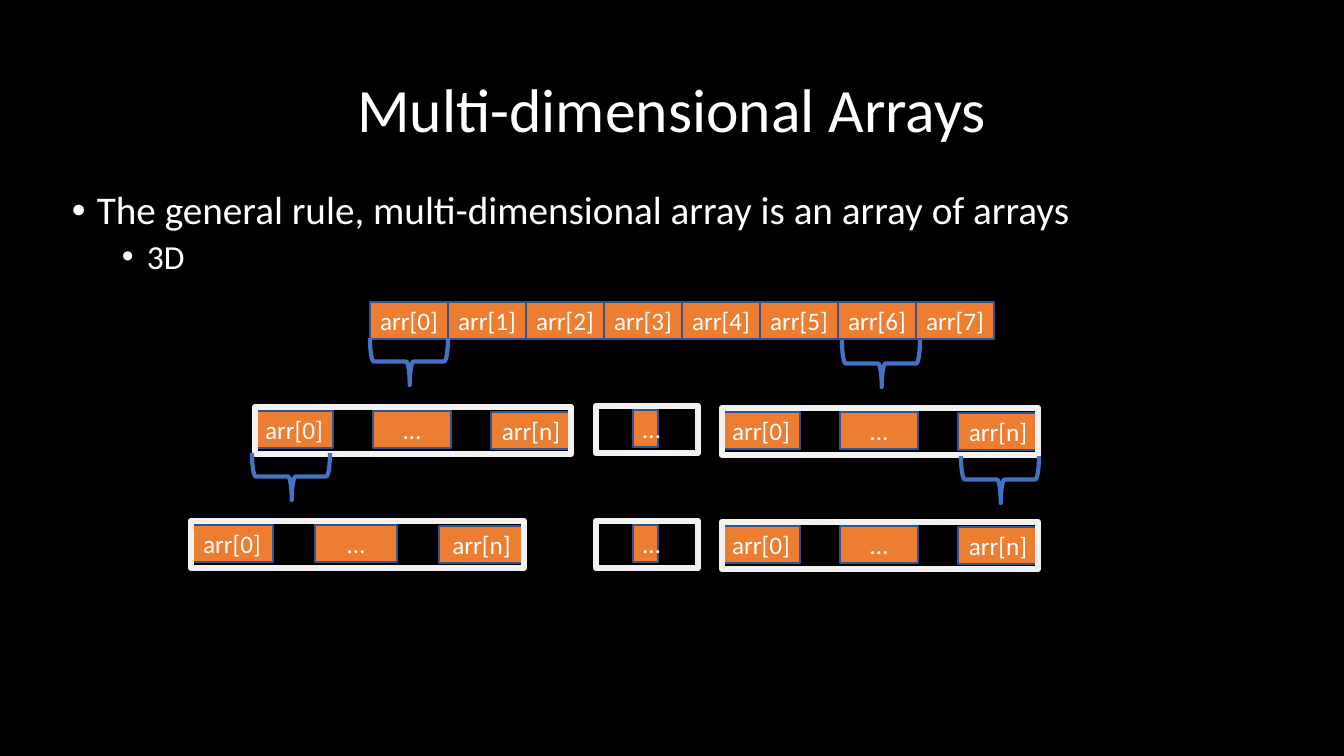
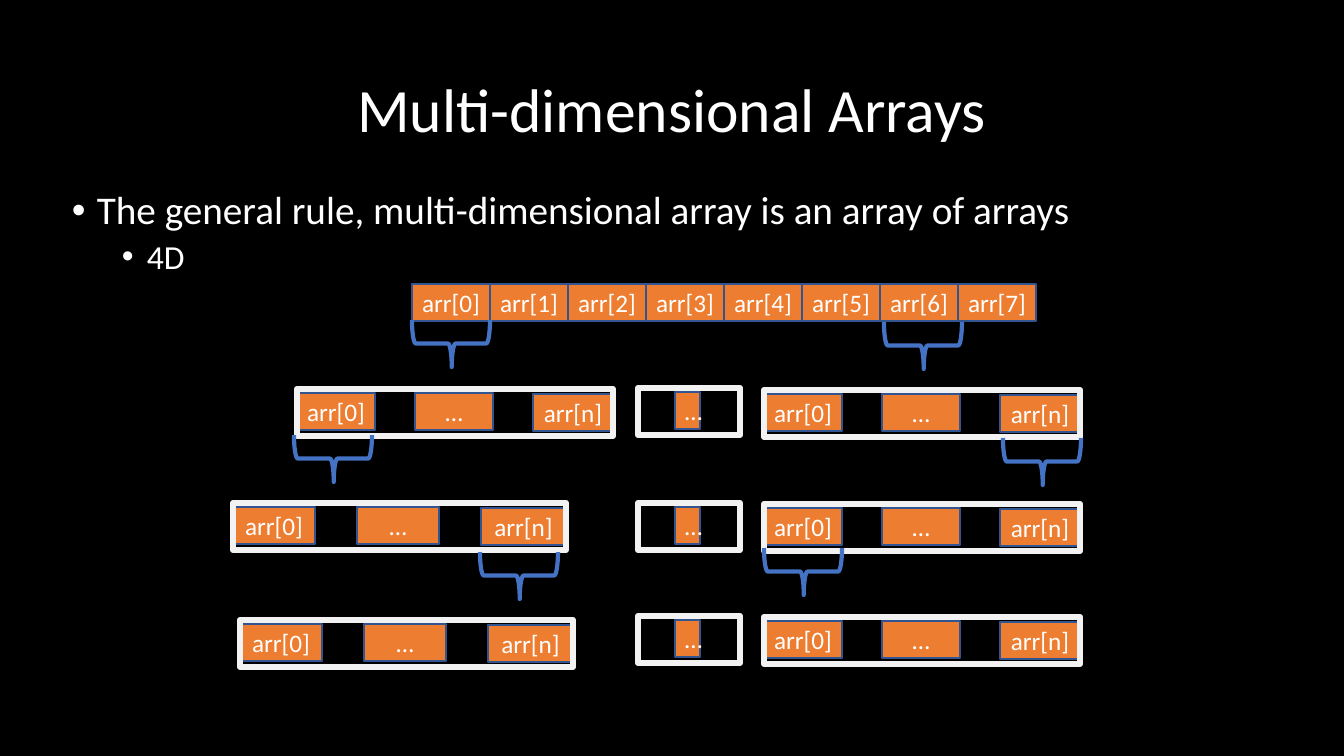
from lxml.etree import SubElement
from pptx import Presentation
from pptx.dml.color import RGBColor
from pptx.enum.shapes import MSO_SHAPE
from pptx.enum.text import MSO_ANCHOR, PP_ALIGN
from pptx.oxml.ns import qn
from pptx.util import Emu, Pt

SLIDE_W, SLIDE_H = 1344, 756
EMU_PER_PX = 12192000 / SLIDE_W

BLACK = RGBColor(0x00, 0x00, 0x00)
WHITE = RGBColor(0xFF, 0xFF, 0xFF)
ORANGE = RGBColor(0xED, 0x7D, 0x31)
NAVY = RGBColor(0x32, 0x54, 0x91)
BLUE = RGBColor(0x44, 0x72, 0xC4)
PALE = RGBColor(0xF2, 0xF2, 0xF2)
FONT = "Calibri"

CELL_W, CELL_H = 78, 37
FRAME_H, FRAME_PAD = 47, 4
BRACE_H = 47
INDENT = 25

HEAD_X, HEAD_Y, HEAD_COUNT = 370, 302, 8
TRIPLE = ("arr[0]", "…", "arr[n]")
GAP_X, GAP_W, GAP_CELL_W = 596, 102, 25

# Each level below the head row: braces leading to it as (x, y),
# triples as (x, y, width), and the top of the elided frame.
LEVELS = (
    (((370, 338), (842, 340)), ((255, 407, 316), (722, 408, 316)), 406),
    (((252, 453), (961, 456)), ((191, 521, 333), (722, 522, 316)), 521),
    (((438, 570), (722, 566)), ((198, 638, 333), (722, 635, 316)), 634),
)


def px(length):
    return Emu(round(length * EMU_PER_PX))


def write_text(paragraph, text, size=18, align=PP_ALIGN.CENTER, line_spacing=None,
               space_before=0, bullet_level=None):
    paragraph.alignment = align
    paragraph.line_spacing = line_spacing
    paragraph.space_before = Pt(space_before)
    if bullet_level is not None:
        paragraph.level = bullet_level
        properties = paragraph._p.get_or_add_pPr()
        properties.set("marL", str(px(INDENT * (1 + 2 * bullet_level))))
        properties.set("indent", str(px(-INDENT)))
        SubElement(properties, qn("a:buFont"), typeface="Arial")
        SubElement(properties, qn("a:buChar"), char="•")
    run = paragraph.add_run()
    run.text = text
    run.font.name = FONT
    run.font.size = Pt(size)
    run.font.color.rgb = WHITE


def add_text_area(slide, x, y, width, height, anchor):
    area = slide.shapes.add_textbox(px(x), px(y), px(width), px(height)).text_frame
    area.word_wrap = True
    area.vertical_anchor = anchor
    return area


def add_outline(slide, kind, x, y, width, height, color, weight, fill=None):
    outline = slide.shapes.add_shape(kind, px(x), px(y), px(width), px(height))
    outline.shadow.inherit = False
    if fill is None:
        outline.fill.background()
    else:
        outline.fill.solid()
        outline.fill.fore_color.rgb = fill
    outline.line.color.rgb = color
    outline.line.width = Pt(weight)
    return outline


def add_cell(slide, label, x, y, width=CELL_W):
    cell = add_outline(slide, MSO_SHAPE.RECTANGLE, x, y, width, CELL_H, NAVY, 1, ORANGE)
    write_text(cell.text_frame.paragraphs[0], label)


def add_frame(slide, x, y, width):
    add_outline(slide, MSO_SHAPE.RECTANGLE, x, y, width, FRAME_H, PALE, 4.5)


def add_triple(slide, x, y, width):
    """Frame a first, an elided and a last cell; the last ends at the frame's edge."""
    step = round(width * 0.372)
    cell_width = round(width * 0.246)
    for index, label in enumerate(TRIPLE):
        offset = index * step
        is_last = index == len(TRIPLE) - 1
        add_cell(slide, label, x + offset, y + FRAME_PAD + is_last,
                 width - offset if is_last else cell_width)
    add_frame(slide, x, y, width)


def add_gap(slide, x, y):
    """Frame one narrow cell that stands for the arrays left out."""
    add_cell(slide, "…", x + 37, y + FRAME_PAD, GAP_CELL_W)
    add_frame(slide, x, y, GAP_W)


def add_brace(slide, x, y):
    """Turn a left brace to point down; x and y give its corner as seen."""
    shift = (CELL_W - BRACE_H) / 2
    brace = add_outline(slide, MSO_SHAPE.LEFT_BRACE, x + shift, y - shift,
                        BRACE_H, CELL_W, BLUE, 3)
    brace.rotation = 270
    brace.adjustments[0] = 0.08
    brace.adjustments[1] = 0.51


def add_diagram(slide, level_count, dx, dy):
    for index in range(HEAD_COUNT):
        add_cell(slide, f"arr[{index}]", HEAD_X + dx + index * CELL_W, HEAD_Y + dy)
    for braces, triples, gap_y in LEVELS[:level_count]:
        for x, y, width in triples:
            add_triple(slide, x + dx, y + dy, width)
        add_gap(slide, GAP_X + dx, gap_y + dy)
        for x, y in braces:
            add_brace(slide, x + dx, y + dy)


def add_array_slide(deck, dimension, level_count, dx=0, dy=0):
    slide = deck.slides.add_slide(deck.slide_layouts[6])
    title = add_text_area(slide, 92, 40, 1160, 146, MSO_ANCHOR.MIDDLE)
    write_text(title.paragraphs[0], "Multi-dimensional Arrays", size=44, line_spacing=0.9)
    body = add_text_area(slide, 62, 186, 1190, 495, MSO_ANCHOR.TOP)
    write_text(body.paragraphs[0],
               "The general rule, multi-dimensional array is an array of arrays",
               size=28, align=PP_ALIGN.LEFT, line_spacing=0.9, space_before=10,
               bullet_level=0)
    write_text(body.add_paragraph(), dimension, size=24, align=PP_ALIGN.LEFT,
               line_spacing=0.9, space_before=5, bullet_level=1)
    add_diagram(slide, level_count, dx, dy)


def main():
    deck = Presentation()
    deck.slide_width, deck.slide_height = px(SLIDE_W), px(SLIDE_H)
    backdrop = deck.slide_master.background.fill
    backdrop.solid()
    backdrop.fore_color.rgb = BLACK
    add_array_slide(deck, "3D", level_count=2)
    add_array_slide(deck, "4D", level_count=3, dx=42, dy=-18)
    deck.save("out.pptx")


if __name__ == "__main__":
    main()
